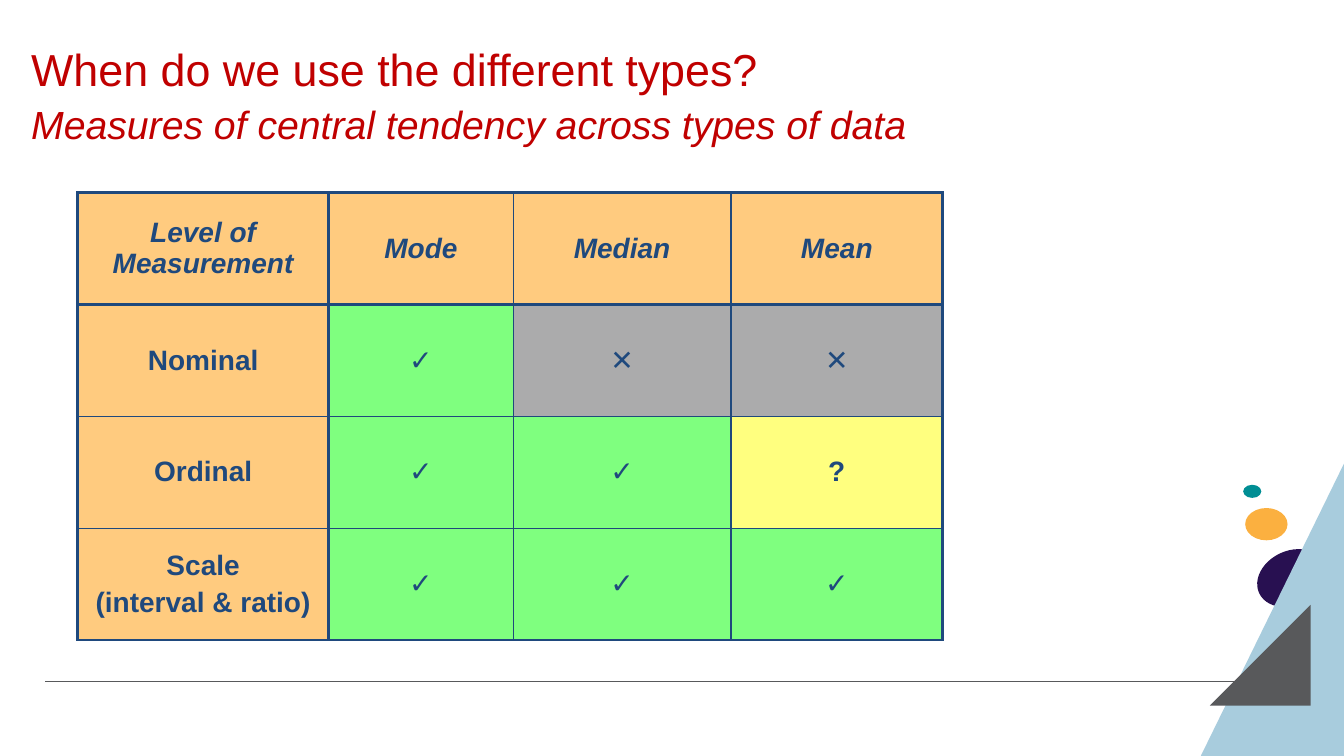
from lxml import etree
from pptx import Presentation
from pptx.dml.color import RGBColor
from pptx.enum.shapes import MSO_CONNECTOR, MSO_SHAPE
from pptx.enum.text import MSO_ANCHOR, PP_ALIGN
from pptx.oxml.ns import qn
from pptx.util import Inches, Pt

RED = RGBColor(0xC0, 0x00, 0x00)
NAVY = RGBColor(0x1F, 0x49, 0x7D)
ORANGE = RGBColor(0xFF, 0x99, 0x00)
GREEN = RGBColor(0x00, 0xFF, 0x00)
YELLOW = RGBColor(0xFF, 0xFF, 0x00)
GREY = RGBColor(0x58, 0x59, 0x5B)
PURPLE = RGBColor(0x28, 0x10, 0x51)
AMBER = RGBColor(0xFB, 0xB0, 0x40)
TEAL = RGBColor(0x00, 0x8E, 0x94)
PALE_BLUE = RGBColor(0xA8, 0xCC, 0xDD)


def paint(shape, color):
    shape.shadow.inherit = False
    shape.fill.solid()
    shape.fill.fore_color.rgb = color
    shape.line.fill.background()


def add_border(properties, position, side, width):
    line = etree.Element(qn(f"a:ln{side}"), w=str(Pt(width)))
    fill = etree.SubElement(line, qn("a:solidFill"))
    etree.SubElement(fill, qn("a:srgbClr"), val=str(NAVY))
    properties.insert(position, line)


deck = Presentation()
deck.slide_width = Inches(13.33)
deck.slide_height = Inches(7.5)
page = deck.slides.add_slide(deck.slide_layouts[6])

rule = page.shapes.add_connector(
    MSO_CONNECTOR.STRAIGHT, Inches(0.45), Inches(6.76), Inches(12.88), Inches(6.76))
rule.line.color.rgb = GREY
rule.line.width = Pt(0.75)
etree.SubElement(rule._element.spPr, qn("a:effectLst"))

decorations = [
    (MSO_SHAPE.OVAL, 12.54, 5.38, 0.54, 0.71, 65, PURPLE),
    (MSO_SHAPE.OVAL, 12.35, 5.04, 0.42, 0.32, 0, AMBER),
    (MSO_SHAPE.OVAL, 12.33, 4.81, 0.18, 0.13, 0, TEAL),
    (MSO_SHAPE.RIGHT_TRIANGLE, 11.91, 4.6, 1.42, 2.9, 0, PALE_BLUE),
]
for kind, left, top, width, height, rotation, color in decorations:
    shape = page.shapes.add_shape(
        kind, Inches(left), Inches(top), Inches(width), Inches(height))
    shape.rotation = rotation
    paint(shape, color)
    if kind == MSO_SHAPE.RIGHT_TRIANGLE:
        shape._element.spPr.xfrm.set("flipH", "1")

half_disc_points = [
    (12.8, 5.73), (12.86, 5.75), (12.9, 5.78), (12.95, 5.8), (12.98, 5.83),
    (13.02, 5.87), (13.05, 5.91), (13.08, 5.95), (13.09, 5.99), (13.11, 6.03),
    (13.12, 6.07), (13.13, 6.12), (13.13, 6.17), (13.12, 6.21), (13.11, 6.26),
    (13.1, 6.31), (13.08, 6.35), (13.05, 6.4), (13.02, 6.44), (12.98, 6.48),
    (12.94, 6.51), (12.9, 6.54), (12.86, 6.57), (12.81, 6.59), (12.76, 6.61),
    (12.71, 6.63), (12.66, 6.64), (12.6, 6.65), (12.55, 6.65), (12.49, 6.65),
    (12.44, 6.64), (12.39, 6.63), (12.33, 6.62),
]
outline = page.shapes.build_freeform(*half_disc_points[0], scale=Inches(1))
outline.add_line_segments(half_disc_points[1:], close=True)
paint(outline.convert_to_shape(), GREY)

title = page.shapes.add_textbox(Inches(0.31), Inches(0.36), Inches(10.23), Inches(0.84))
frame = title.text_frame
frame.word_wrap = True
frame.margin_left = frame.margin_right = frame.margin_top = frame.margin_bottom = 0
para = frame.paragraphs[0]
para.line_spacing = 1.1
para.font.name = "Arial"
para.font.color.rgb = RED
span = para.add_run()
span.text = "When do we use the different types?"
span.font.size = Pt(32)
para.add_line_break()
span = para.add_run()
span.text = "Measures of central tendency across types of data"
span.font.size = Pt(28)
span.font.italic = True

rows = [
    ["Level of Measurement", "Mode", "Median", "Mean"],
    ["Nominal", "✓", "✕", "✕"],
    ["Ordinal", "✓", "✓", "?"],
    ["Scale\n(interval & ratio)", "✓", "✓", "✓"],
]
mark_fills = {"✓": GREEN, "✕": GREY, "?": YELLOW}
column_widths = [2.49, 1.83, 2.16, 2.1]
thick_edges = (0, 1, 4)

table = page.shapes.add_table(
    4, 4, Inches(0.77), Inches(1.91), Inches(8.58), Inches(4.44)).table
table.first_row = False
table.horz_banding = False
for column, width in zip(table.columns, column_widths):
    column.width = Inches(width)

for row_index, row in enumerate(rows):
    table.rows[row_index].height = Inches(1.11)
    for column_index, text in enumerate(row):
        cell = table.cell(row_index, column_index)
        cell.vertical_anchor = MSO_ANCHOR.MIDDLE
        cell.text = text
        for para in cell.text_frame.paragraphs:
            para.alignment = PP_ALIGN.CENTER
            para.space_after = Pt(4)
            para.font.name = "Arial"
            para.font.size = Pt(20)
            para.font.bold = text not in ("✓", "✕")
            para.font.italic = row_index == 0
            para.font.color.rgb = NAVY
        cell.fill.solid()
        cell.fill.fore_color.rgb = mark_fills.get(text, ORANGE)
        properties = cell._tc.tcPr
        tint = properties.find(qn("a:solidFill")).find(qn("a:srgbClr"))
        etree.SubElement(tint, qn("a:alpha"), val="50000")
        edges = [("L", column_index), ("R", column_index + 1),
                 ("T", row_index), ("B", row_index + 1)]
        for position, (side, edge) in enumerate(edges):
            add_border(properties, position, side, 2.25 if edge in thick_edges else 1)

deck.save("out.pptx")
